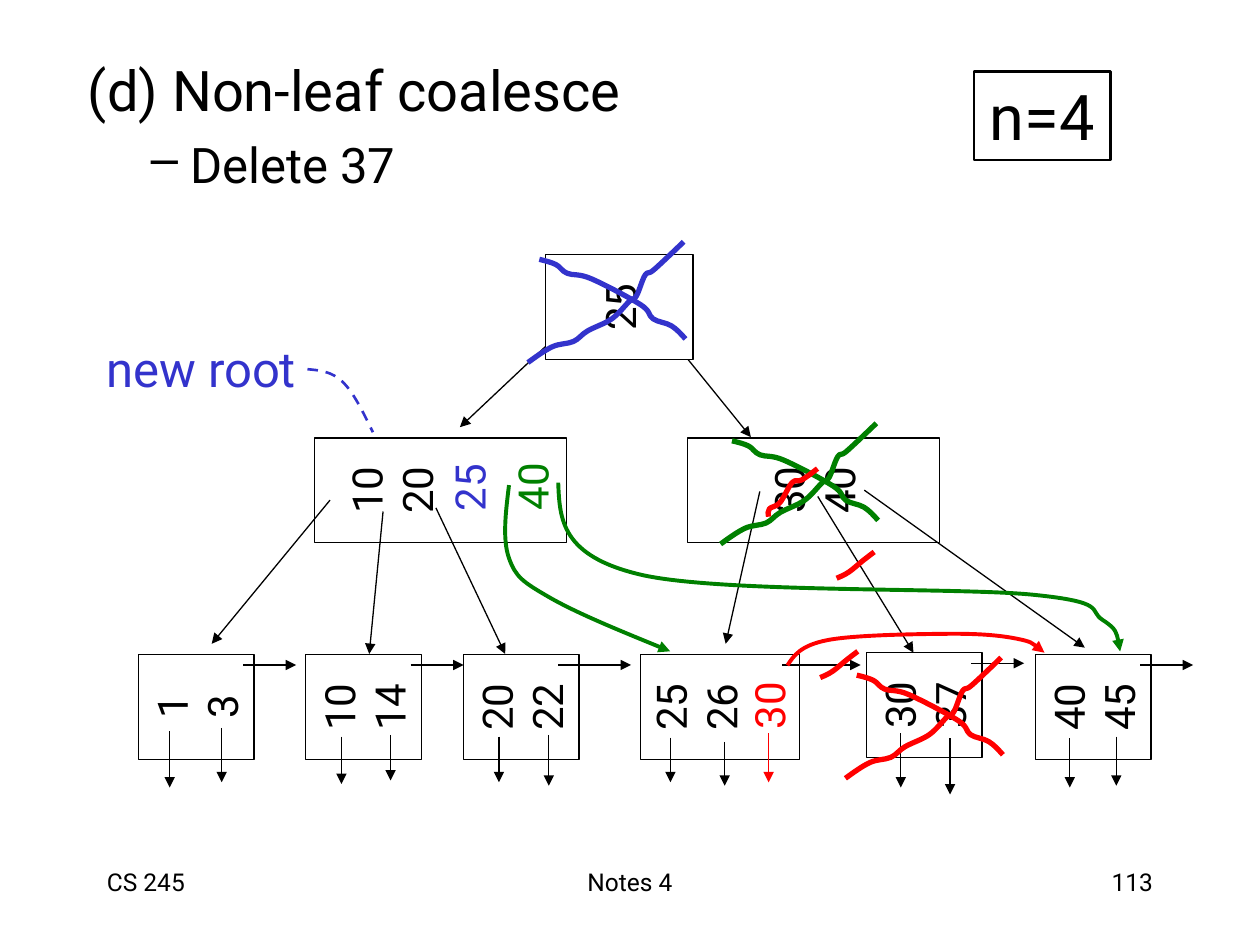
from dataclasses import dataclass
from typing import NamedTuple

from lxml import etree
from pptx import Presentation
from pptx.dml.color import RGBColor
from pptx.enum.dml import MSO_LINE
from pptx.enum.shapes import MSO_CONNECTOR, MSO_SHAPE
from pptx.enum.text import MSO_ANCHOR, MSO_AUTO_SIZE, PP_ALIGN
from pptx.oxml.ns import qn
from pptx.util import Pt

RECT, STRAIGHT = MSO_SHAPE.RECTANGLE, MSO_CONNECTOR.STRAIGHT
LEFT, CENTER, RIGHT = PP_ALIGN.LEFT, PP_ALIGN.CENTER, PP_ALIGN.RIGHT
TOP, MIDDLE = MSO_ANCHOR.TOP, MSO_ANCHOR.MIDDLE
DASH, NO_FIT = MSO_LINE.DASH, MSO_AUTO_SIZE.NONE


@dataclass(frozen=True)
class Theme:
    font: str = "Roboto"
    black: RGBColor = RGBColor(0, 0, 0)
    white: RGBColor = RGBColor(255, 255, 255)
    green: RGBColor = RGBColor(0, 0x80, 0)
    red: RGBColor = RGBColor(255, 0, 0)
    blue: RGBColor = RGBColor(0x33, 0x33, 0xCC)
    footer: int = 14
    key: int = 24
    label: int = 28
    title: int = 32
    order: int = 36
    thin: float = 0.75
    medium: float = 1.5
    link: float = 2.25
    stroke: float = 3


class Point(NamedTuple):
    x: float
    y: float


class Box(NamedTuple):
    x: float
    y: float
    w: float
    h: float


@dataclass
class Node:
    box: Box
    keys: list[str]
    pointers: list[tuple[Point, Point]]  # arrows to the children
    free_slots: int = 0


@dataclass
class Leaf:
    x: float
    keys: list[str]
    records: list[tuple[float, float, float]]  # arrow x, top, bottom inside the leaf
    y: float = 374
    w: float = 66.2
    free_slots: int = 0
    next_inset: float = 6.2  # start of the next-leaf arrow, left of the leaf's right side
    next_length: float = 30.2


@dataclass
class Curve:
    """A smooth line through its knots, moved to its origin."""
    knots: list[tuple[float, float]]
    color: RGBColor
    width: float = Theme.stroke
    arrow: bool = False
    dash: bool = False
    origin: Point = Point(0, 0)


T = Theme()
KEY_LINE = 28.1  # height of one line of key text
NODE_H, INNER_Y, INNER_W = 60, 250.2, 144
NEXT_DROP = 6  # next-leaf arrow below the leaf's top

ROOT = Node(Box(311.8, 145.4, 84.2, NODE_H), ["25"],
            [(Point(337, 174.2), Point(262.8, 244.1)), (Point(367.9, 174.2), Point(429.1, 249.8))])
INNER = [
    Node(Box(179.6, INNER_Y, INNER_W, NODE_H), ["10", "20"],
         [(Point(188.6, 285.8), Point(121, 367.9)), (Point(218.9, 292.3), Point(211, 373.7)),
          (Point(249.1, 290.2), Point(288.7, 373.7))], free_slots=2),
    Node(Box(392.8, INNER_Y, INNER_W, NODE_H), ["30", "40"],
         [(Point(434.2, 280.8), Point(414.7, 367.9)), (Point(467.3, 283.7), Point(522, 373)),
          (Point(493.9, 280.1), Point(619.9, 370.1))]),
]
LEAVES = [
    Leaf(79, ["1", "3"], [(18, 44, 76), (47.7, 42, 73)]),
    Leaf(174.7, ["10", "14"], [(20.4, 47, 74), (48.5, 46, 72)]),
    Leaf(264.7, ["20", "22"], [(20.4, 47, 73), (48.9, 46, 75)], next_inset=12, next_length=41.7),
    Leaf(366.1, ["25", "26"], [(17, 47.5, 73), (48, 50, 75)], w=90.7, free_slots=1,
         next_inset=9.7, next_length=44.7),
    Leaf(495, ["30", "37"], [(19.8, 46, 77), (47.9, 49, 81)], y=373),
    Leaf(591.6, ["40", "45"], [(19.7, 48, 76), (46.3, 47, 75)]),
]
MOVED_RECORD = Point(439.2, 419), Point(439.2, 447.1)

RISING = [(0, 69), (14, 60), (26, 57), (34, 51), (48, 44), (58, 34), (62, 31),
          (67, 19), (72, 16), (89, 0)]
FALLING = [(0, 0), (9.5, 3), (16, 8), (29.5, 11), (58, 26), (65, 34), (75.5, 38), (83.5, 45.5)]
FALLING_SHIFT = Point(6.5, 10)
SLASH = [(0, 15), (7, 11.5), (15, 5), (21.5, 0)]
KEY_SLASH = [(0, 27.5), (0.5, 23), (6.5, 19.5), (13.5, 8), (19, 6.5), (28, 0)]
LINK_TO_25 = [(290.9, 277.2), (290.9, 319), (313.9, 341.3), (383, 372.2)]
LINK_TO_40 = [(319, 275.8), (365.8, 328.3), (589.7, 339.8), (630, 354.2), (640.1, 372.2)]
NEXT_LEAF_LINK = [(450, 380.2), (473, 365.8), (542.9, 362.2), (581, 365), (596.9, 373)]
NEW_ROOT_POINTER = [(175.7, 211), (195.8, 218.2), (213.1, 247)]


def cross(x: float, y: float, color: RGBColor) -> list[Curve]:
    dx, dy = FALLING_SHIFT
    return [Curve(RISING, color, origin=Point(x, y)),
            Curve(FALLING, color, origin=Point(x + dx, y + dy))]


CURVES = [
    *cross(411.8, 241.9, T.green), *cross(483.1, 375.8, T.red), *cross(301.7, 138.2, T.blue),
    Curve(LINK_TO_25, T.green, T.link, arrow=True),
    Curve(LINK_TO_40, T.green, T.link, arrow=True),
    Curve(NEXT_LEAF_LINK, T.red, T.link, arrow=True),
    Curve(SLASH, T.red, origin=Point(468.7, 372.2)),
    Curve(SLASH, T.red, origin=Point(478.1, 315.4)),
    Curve(KEY_SLASH, T.red, origin=Point(439.2, 267.8)),
    Curve(NEW_ROOT_POINTER, T.blue, T.medium, dash=True),
]


def write(sp, lines: list[str], size: float, color=T.black, align=CENTER,
          anchor=MIDDLE, wrap=False) -> None:
    tf = sp.text_frame
    frame = {"auto_size": NO_FIT, "word_wrap": wrap, "vertical_anchor": anchor}
    for name, value in frame.items():
        setattr(tf, name, value)
    for i, line in enumerate(lines):
        p = tf.add_paragraph() if i else tf.paragraphs[0]
        p.alignment = align
        r = p.add_run()
        r.text = line
        for name, value in {"name": T.font, "size": Pt(size)}.items():
            setattr(r.font, name, value)
        r.font.color.rgb = color


def add_text(slide, box: Box, text: str, size: float, rotation=0, **style) -> None:
    sp = slide.shapes.add_textbox(*map(Pt, box))
    sp.rotation = rotation
    write(sp, [text], size, **style)


def set_line(sp, color: RGBColor, width: float, arrow=False, dash=False) -> None:
    sp.line.color.rgb = color
    sp.line.width = Pt(width)
    if dash:
        sp.line.dash_style = DASH
    if arrow:
        ln = sp._element.spPr.find(qn("a:ln"))
        etree.SubElement(ln, qn("a:tailEnd"), type="triangle")


def add_rect(slide, box: Box, width: float):
    sp = slide.shapes.add_shape(RECT, *map(Pt, box))
    sp.shadow.inherit = False
    set_line(sp, T.black, width)
    return sp


def add_keys(slide, box: Box, keys: list[str], free_slots: int) -> None:
    """Draw a box of keys turned a quarter left, with room kept for free slots."""
    x, y, w, h = box
    sp = add_rect(slide, Box(x + (w - h) / 2, y + (h - w) / 2, h, w), T.thin)
    sp.rotation = 270
    sp.fill.solid()
    sp.fill.fore_color.rgb = T.white
    write(sp, keys, T.key)
    sp.text_frame.margin_bottom = Pt(3.6 + KEY_LINE * free_slots)


def add_arrow(slide, start: Point, end: Point, color=T.black) -> None:
    sp = slide.shapes.add_connector(STRAIGHT, *map(Pt, (*start, *end)))
    set_line(sp, color, T.thin, arrow=True)
    etree.SubElement(sp._element.spPr, qn("a:effectLst"))


def add_leaf_arrows(slide, leaf: Leaf) -> None:
    for dx, top, bottom in leaf.records:
        add_arrow(slide, Point(leaf.x + dx, leaf.y + top), Point(leaf.x + dx, leaf.y + bottom))
    x, y = leaf.x + leaf.w - leaf.next_inset, leaf.y + NEXT_DROP
    add_arrow(slide, Point(x, y), Point(x + leaf.next_length, y))


def bezier_points(knots: list[Point]) -> list[Point]:
    """Return three control points per segment of a Catmull-Rom curve.

    At an inner knot the handles lie along its neighbours' chord, a sixth of it
    long. At either end the handle is halfway to the nearest other handle.
    """
    before, after = [], []
    for a, b, c in zip(knots, knots[1:], knots[2:]):
        dx, dy = (c.x - a.x) / 6, (c.y - a.y) / 6
        before.append(Point(b.x - dx, b.y - dy))
        after.append(Point(b.x + dx, b.y + dy))

    def middle(a: Point, b: Point) -> Point:
        return Point((a.x + b.x) / 2, (a.y + b.y) / 2)

    outgoing = [middle(knots[0], before[0]), *after]
    incoming = [*before, middle(knots[-1], after[-1])]
    return [pt for segment in zip(outgoing, incoming, knots[1:]) for pt in segment]


def add_curve(slide, curve: Curve) -> None:
    """Build a freeform on the control points, then make each three a Bezier."""
    knots = [Point(curve.origin.x + x, curve.origin.y + y) for x, y in curve.knots]
    builder = slide.shapes.build_freeform(*map(Pt, knots[0]))
    builder.add_line_segments([(Pt(x), Pt(y)) for x, y in bezier_points(knots)], close=False)
    sp = builder.convert_to_shape()
    segments = list(sp._element.iter(qn("a:lnTo")))
    for i in range(0, len(segments), 3):
        bezier = etree.Element(qn("a:cubicBezTo"))
        segments[i].addprevious(bezier)
        for segment in segments[i:i + 3]:
            bezier.append(segment[0])
            segment.getparent().remove(segment)
    sp.fill.background()
    sp.shadow.inherit = False
    set_line(sp, curve.color, curve.width, curve.arrow, curve.dash)


def add_heading(slide) -> None:
    sp = slide.shapes.add_textbox(*map(Pt, Box(43.2, 28, 367.2, 96)))
    write(sp, ["(d) Non-leaf coalesce", "Delete 37"], T.title, align=LEFT, anchor=TOP, wrap=True)
    p = sp.text_frame.paragraphs[1]
    pPr = p._p.get_or_add_pPr()
    for name, value in {"marL": Pt(58.5), "indent": Pt(-22.5), "lvl": 1}.items():
        pPr.set(name, str(value))
    etree.SubElement(pPr, qn("a:buChar"), char="–")
    p.space_before = Pt(7)
    p.runs[0].font.size = Pt(T.label)


def add_tree(slide) -> None:
    """Draw the root last: it covers the start of its own arrows."""
    for leaf in LEAVES:
        add_keys(slide, Box(leaf.x, leaf.y, leaf.w, NODE_H), leaf.keys, leaf.free_slots)
    for node in INNER:
        add_keys(slide, node.box, node.keys, node.free_slots)
    for node in [ROOT, *INNER]:
        for start, end in node.pointers:
            add_arrow(slide, start, end)
    for leaf in LEAVES:
        add_leaf_arrows(slide, leaf)
    add_keys(slide, ROOT.box, ROOT.keys, ROOT.free_slots)


def add_changes(slide) -> None:
    """Draw what the deletion moves, links anew and crosses out."""
    for x, y, key, color in [(283, 260, "40", T.green), (418.3, 385.2, "30", T.red),
                             (247, 260.6, "25", T.blue)]:
        add_text(slide, Box(x, y, 41.8, 36), key, T.key, rotation=270, color=color)
    add_text(slide, Box(49, 190, 131.8, 41), "new root", T.label, color=T.blue)
    add_arrow(slide, *MOVED_RECORD, T.red)
    for curve in CURVES:
        add_curve(slide, curve)


def main() -> None:
    prs = Presentation()
    prs.slide_width, prs.slide_height = Pt(720), Pt(540)
    slide = prs.slides.add_slide(prs.slide_layouts[6])
    for x, w, text, align in [(54, 150, "CS 245", LEFT), (246, 228, "Notes 4", CENTER),
                              (516, 150, "113", RIGHT)]:
        add_text(slide, Box(x, 492, w, 36), text, T.footer, align=align, anchor=TOP, wrap=True)
    add_heading(slide)
    order = add_rect(slide, Box(556.6, 41, 77.8, 50.4), T.medium)
    order.fill.background()
    write(order, ["n=4"], T.order)
    add_tree(slide)
    add_changes(slide)
    prs.save("out.pptx")


if __name__ == "__main__":
    main()
